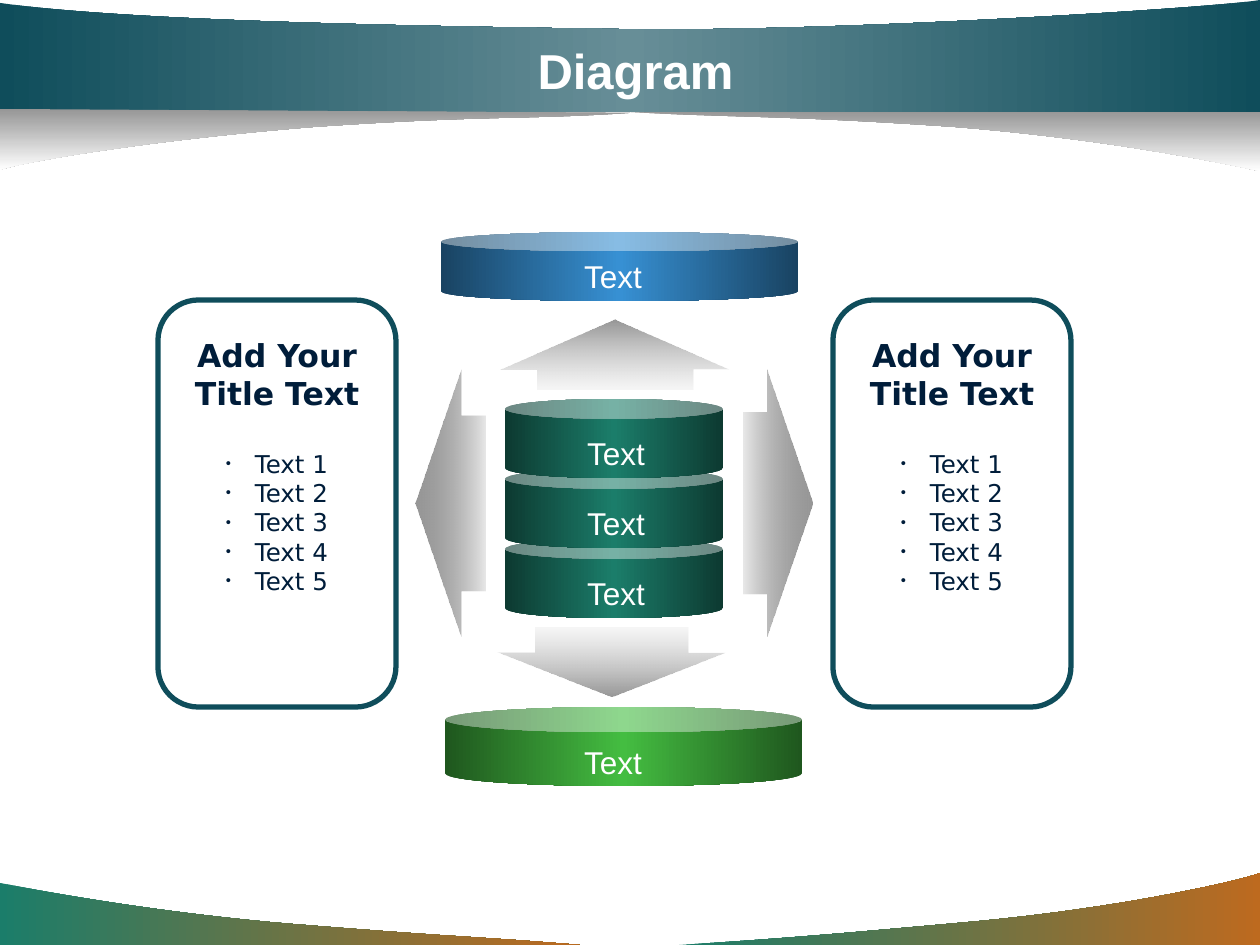
from lxml.etree import SubElement
from pptx import Presentation
from pptx.dml.color import RGBColor
from pptx.enum.shapes import MSO_SHAPE as Shape
from pptx.enum.text import MSO_ANCHOR as Anchor, MSO_AUTO_SIZE as AutoSize, PP_ALIGN as Align
from pptx.oxml.ns import qn
from pptx.util import Pt

# Content
TITLE = "Diagram"
PANEL_TITLE = ["Add Your", "Title Text"]
PANEL_ITEMS = ["Text 1", "Text 2", "Text 3", "Text 4", "Text 5"]
LABEL = "Text"

# Gradient stops: position, colour, opacity in percent
SWEEP = [(0, "1B7D6A", 100), (100, "BD6A1F", 100)]
SHADE = [(0, "969696", 100), (100, "FFFFFF", 100)]
BAND = [(0, "0F4D5B", 100), (50, "678E97", 100), (100, "0F4D5B", 100)]
TEAL = [(0, "0D3A31", 100), (50, "1B7D6A", 100), (100, "0D3A31", 100)]
BLUE = [(0, "194362", 100), (50, "3790D3", 100), (100, "194362", 100)]
GREEN = [(0, "1F571E", 100), (50, "44BD41", 100), (100, "1F571E", 100)]
FADE_LEFT = [(0, "969696", 100), (100, "454545", 12)]
FADE_UP = [(0, "969696", 100), (100, "BCBCBC", 12)]
FADE_RIGHT = [(0, "454545", 12), (100, "969696", 100)]
FADE_DOWN = [(0, "BCBCBC", 12), (100, "969696", 100)]

# Curved bands: start, then lines (one point) and Bezier curves (three points)
WAVES = [
    ((580, 945), [[(484, 937), (451, 937), (292, 924)], [(134, 911), (1, 883), (0, 883)],
                  [(0, 945)]], SWEEP, 0),
    ((679, 945), [[(774, 939), (814, 936), (969, 922)], [(1124, 908), (1247, 879), (1260, 873)],
                  [(1260, 945)]], SWEEP, 0),
    ((630, 112), [[(736, 118), (781, 115), (955, 127)], [(1131, 141), (1257, 171), (1260, 171)],
                  [(1260, 111)]], SHADE, 90),
    ((0, 112), [[(1260, 112)], [(1260, 0)], [(1215, 8), (823, 33), (614, 29)],
                [(404, 26), (127, 21), (0, 3)]], BAND, 0),
    ((630, 113), [[(524, 120), (489, 115), (314, 127)], [(139, 141), (14, 164), (0, 170)],
                  [(0, 109)]], SHADE, 90),
]
ARROWS = [
    (Shape.LEFT_ARROW, (416, 370, 69, 267), (0.66, 0.65), FADE_LEFT, 0),
    (Shape.RIGHT_ARROW, (743, 370, 69, 267), (0.68, 0.66), FADE_RIGHT, 0),
    (Shape.UP_ARROW, (501, 320, 228, 69), (0.68, 0.71), FADE_UP, 90),
    (Shape.DOWN_ARROW, (498, 628, 228, 68), (0.67, 0.64), FADE_DOWN, 90),
]
# Discs: box, rim, gradient, label position
STACK_TOP, STACK_STEP, STACK_COUNT = 399, 70, 3
DISCS = [((505, STACK_TOP + STACK_STEP * level, 218, 79), 0.25, TEAL,
          (573, STACK_TOP + STACK_STEP * level + 29))
         for level in reversed(range(STACK_COUNT))]
DISCS += [((441, 232, 357, 69), 0.28, BLUE, (570, 251)),
          ((445, 707, 357, 79), 0.32, GREEN, (570, 737))]
PANEL_LEFTS = (158, 833)

# Text formats
TITLE_FONT = {"name": "Arial", "size": Pt(28), "bold": True}
LABEL_FONT = {"name": "Arial", "size": Pt(18)}
HEAD_FONT = {"name": "DejaVu Sans", "size": Pt(18), "bold": True}
ITEM_FONT = {"name": "DejaVu Sans", "size": Pt(14)}

SCALE = 914400 / 126


def px(*lengths):
    return [round(length * SCALE) for length in lengths]


def color(value):
    return RGBColor.from_string(value)


def paint(shape, stops, angle):
    shape.shadow.inherit = False
    shape.line.fill.background()
    shape.fill.gradient()
    gradient = shape._element.spPr.find(qn("a:gradFill"))
    stop_list = gradient.find(qn("a:gsLst"))
    for old_stop in list(stop_list):
        stop_list.remove(old_stop)
    for position, value, opacity in stops:
        stop = SubElement(stop_list, qn("a:gs"), pos=str(position * 1000))
        tint = SubElement(stop, qn("a:srgbClr"), val=value)
        if opacity < 100:
            SubElement(tint, qn("a:alpha"), val=str(opacity * 1000))
    gradient.find(qn("a:lin")).set("ang", str(angle * 60000))


def add_wave(page, start, segments):
    builder = page.shapes.build_freeform(*px(*start))
    builder.add_line_segments([px(*point) for segment in segments for point in segment])
    shape = builder.convert_to_shape()
    # Join the three points of each curve into one Bezier segment
    outline = next(shape._element.iter(qn("a:path")))
    lines = iter(outline.findall(qn("a:lnTo")))
    for segment in segments:
        first, *others = [next(lines) for _ in segment]
        if others:
            first.addprevious(curve := outline.makeelement(qn("a:cubicBezTo")))
            for line in (first, *others):
                curve.append(line[0])
                outline.remove(line)
    return shape


def add_preset(page, kind, place, adjustments):
    shape = page.shapes.add_shape(kind, *px(*place))
    for index, value in enumerate(adjustments):
        shape.adjustments[index] = value
    return shape


def add_text(page, place, wrap=True, anchor=Anchor.TOP, fit=AutoSize.NONE):
    frame = page.shapes.add_textbox(*px(*place)).text_frame
    settings = {"word_wrap": wrap, "vertical_anchor": anchor, "auto_size": fit}
    for name, value in settings.items():
        setattr(frame, name, value)
    return frame


def write(para, text, font, value):
    para.alignment = Align.CENTER
    span = para.add_run()
    span.text = text
    for name, setting in font.items():
        setattr(span.font, name, setting)
    span.font.color.rgb = color(value)


def add_bullet(para, indent):
    props = para._p.get_or_add_pPr()
    props.set("marL", str(indent))
    props.set("indent", str(-indent))
    tint = SubElement(props, qn("a:buClr"))
    SubElement(tint, qn("a:srgbClr"), val="001D3A")
    SubElement(props, qn("a:buSzPct"), val="60000")
    SubElement(props, qn("a:buFont"), typeface="Arial")
    SubElement(props, qn("a:buChar"), char="•")


def add_panel(page, left):
    outline = add_preset(page, Shape.ROUNDED_RECTANGLE, (left, 300, 238, 407), [0.17])
    outline.shadow.inherit = False
    outline.fill.background()
    outline.line.color.rgb = color("0F4D5B")
    outline.line.width = Pt(3)
    frame = add_text(page, (left + 10, 330, 218, 273), fit=AutoSize.SHAPE_TO_FIT_TEXT)
    for index, text in enumerate(PANEL_TITLE + PANEL_ITEMS):
        para = frame.add_paragraph() if index else frame.paragraphs[0]
        is_item = index >= len(PANEL_TITLE)
        if is_item:
            add_bullet(para, *px(29))
        if index == len(PANEL_TITLE):
            para.space_before = Pt(21)
        write(para, text, ITEM_FONT if is_item else HEAD_FONT, "001D3A")


def main():
    deck = Presentation()
    deck.slide_width, deck.slide_height = px(1260, 945)
    page = deck.slides.add_slide(deck.slide_layouts[6])

    # Curved bands and title
    for start, segments, stops, angle in WAVES:
        paint(add_wave(page, start, segments), stops, angle)
    title = add_text(page, (95, 31, 1081, 78), anchor=Anchor.MIDDLE)
    write(title.paragraphs[0], TITLE, TITLE_FONT, "FFFFFF")

    # Side panels and arrows
    for left in PANEL_LEFTS:
        add_panel(page, left)
    for kind, place, adjustments, stops, angle in ARROWS:
        paint(add_preset(page, kind, place, adjustments), stops, angle)

    # Discs, then their labels
    for place, rim, stops, _ in DISCS:
        paint(add_preset(page, Shape.CAN, place, [rim]), stops, 0)
    for *_, (left, top) in DISCS:
        label = add_text(page, (left, top, 86, 50), wrap=False, fit=AutoSize.SHAPE_TO_FIT_TEXT)
        write(label.paragraphs[0], LABEL, LABEL_FONT, "FFFFFF")

    deck.save("out.pptx")


if __name__ == "__main__":
    main()
